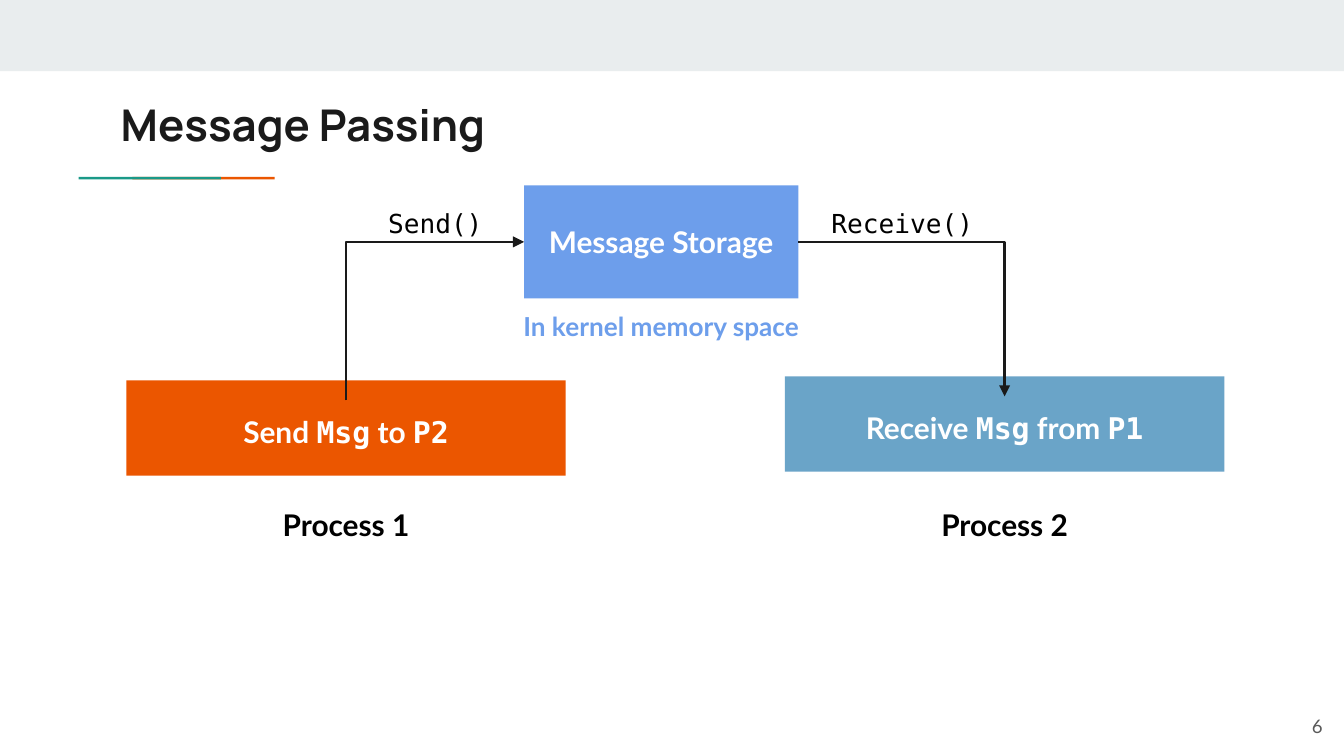
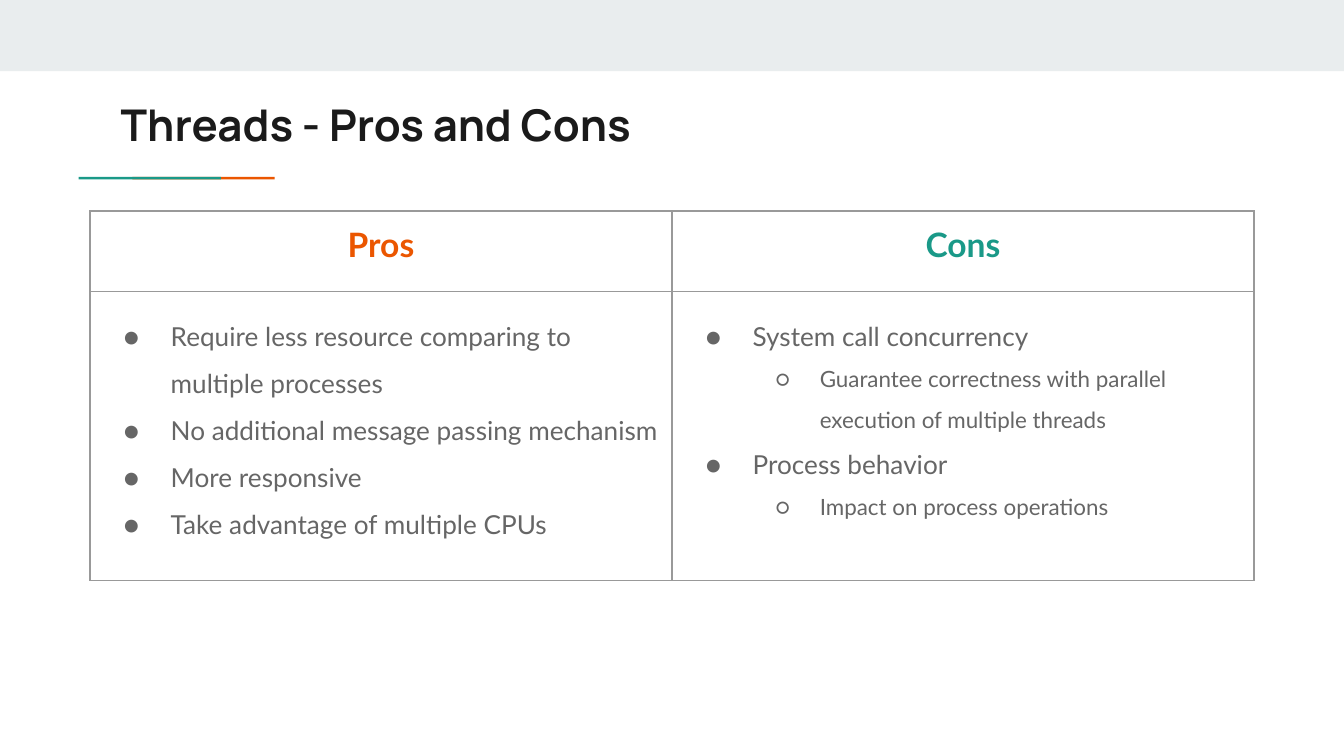
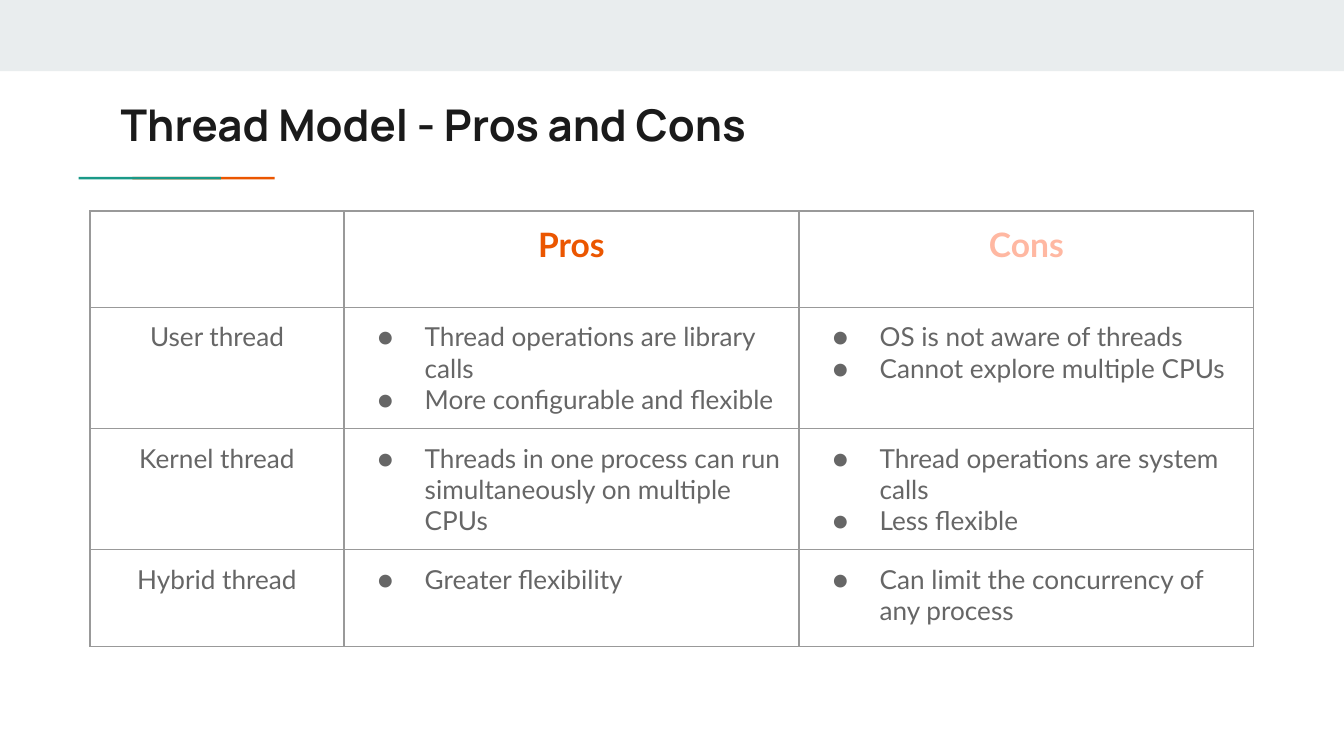
"""Build three slides on message passing and threads."""
from dataclasses import dataclass

from lxml.etree import SubElement
from pptx import Presentation
from pptx.dml.color import RGBColor
from pptx.enum.shapes import MSO_CONNECTOR as Conn, MSO_SHAPE as Shape
from pptx.enum.text import MSO_ANCHOR as Anchor, MSO_AUTO_SIZE as Fit, PP_ALIGN as Align
from pptx.oxml.ns import qn
from pptx.util import Inches, Pt


@dataclass(frozen=True)
class Theme:
    band: str = "E9EDEE"
    ink: str = "1A1A1A"
    black: str = "000000"
    white: str = "FFFFFF"
    body: str = "666666"
    number: str = "595959"
    border: str = "999999"
    orange: str = "EB5600"
    teal: str = "1A9988"
    steel: str = "6AA4C8"
    blue: str = "6D9EEB"
    peach: str = "FFB8A2"
    sans: str = "Lato"
    mono: str = "DejaVu Sans Mono"
    heading: str = "Manrope"
    title_pt: float = 23.4
    head_pt: int = 18
    box_pt: int = 16
    body_pt: int = 14
    sub_pt: int = 12
    number_pt: int = 10


T = Theme()
MARGIN = 0.1
BULLETS = [("●", 0.5, -0.35, T.body_pt), ("○", 1, -0.33, T.sub_pt)]

PROCESSES = [
    dict(name="Process 1", left=0.94, top=2.83, color=T.orange, verb="Send ", link=" to ", peer="P2"),
    dict(name="Process 2", left=5.84, top=2.8, color=T.steel, verb="Receive ", link=" from ", peer="P1"),
]
PROCESS_W, PROCESS_H = 3.27, 0.71
STORAGE = (3.9, 1.38, 2.04, 0.84)
CALLS = [("Send()", 2.61, 1.26), ("Receive()", 6.05, 1.33)]

TABLE_W, LABEL_W = 8.66, 1.89
THREADS = dict(
    title="Threads - Pros and Cons",
    heads=[("Pros", T.orange), ("Cons", T.teal)],
    cols=[TABLE_W / 2] * 2, rows=[0.6, 2.15], spacing=1.5,
    body=[[
        [("Require less resource comparing to multiple processes", 0),
         ("No additional message passing mechanism", 0),
         ("More responsive", 0),
         ("Take advantage of multiple CPUs", 0)],
        [("System call concurrency", 0),
         ("Guarantee correctness with parallel execution of multiple threads", 1),
         ("Process behavior", 0),
         ("Impact on process operations", 1)],
    ]],
)
MODELS = dict(
    title="Thread Model - Pros and Cons",
    heads=[("", T.body), ("Pros", T.orange), ("Cons", T.peach)],
    cols=[LABEL_W] + [(TABLE_W - LABEL_W) / 2] * 2, rows=[0.72] * 4, spacing=None,
    body=[
        ["User thread",
         [("Thread operations are library calls", 0), ("More configurable and flexible", 0)],
         [("OS is not aware of threads", 0), ("Cannot explore multiple CPUs", 0)]],
        ["Kernel thread",
         [("Threads in one process can run simultaneously on multiple CPUs", 0)],
         [("Thread operations are system calls", 0), ("Less flexible", 0)]],
        ["Hybrid thread",
         [("Greater flexibility", 0)],
         [("Can limit the concurrency of any process", 0)]],
    ],
)


def rgb(color):
    return RGBColor.from_string(color)


def write(p, text, size=T.body_pt, color=T.body, font=T.sans, bold=False,
          align=None, spacing=None, level=None):
    """Fill a paragraph from a string or a list of (text, font) runs."""
    if level is not None:
        char, left, hang, size = BULLETS[level]
        p.level = level
        pPr = p._p.get_or_add_pPr()
        pPr.set("marL", str(Inches(left)))
        pPr.set("indent", str(Inches(hang)))
        SubElement(SubElement(pPr, qn("a:buClr")), qn("a:srgbClr"), val=color)
        SubElement(pPr, qn("a:buFont"), typeface=font)
        SubElement(pPr, qn("a:buChar"), char=char)
    if align is not None:
        p.alignment = align
    if spacing:
        p.line_spacing = spacing
    for part, face in [(text, font)] if isinstance(text, str) else text:
        r = p.add_run()
        r.text = part
        r.font.name, r.font.size, r.font.bold = face, Pt(size), bold
        r.font.color.rgb = rgb(color)


def set_margins(box):
    box.margin_left = box.margin_right = box.margin_top = box.margin_bottom = Inches(MARGIN)


def add_text(s, text, x, y, w, h, anchor=Anchor.TOP, fit=Fit.SHAPE_TO_FIT_TEXT, **fmt):
    tf = s.shapes.add_textbox(*map(Inches, (x, y, w, h))).text_frame
    set_margins(tf)
    tf.word_wrap, tf.auto_size, tf.vertical_anchor = True, fit, anchor
    write(tf.paragraphs[0], text, **fmt)


def add_rect(s, x, y, w, h, color):
    sp = s.shapes.add_shape(Shape.RECTANGLE, *map(Inches, (x, y, w, h)))
    sp.shadow.inherit = False
    sp.fill.solid()
    sp.fill.fore_color.rgb = rgb(color)
    sp.line.fill.background()
    return sp


def add_accent(s):
    """Draw the two-colour rule under the title as a squeezed group."""
    grp = s.shapes.add_group_shape()
    for x, color in [(1.49, T.orange), (1.09, T.teal)]:
        add_rect(grp, x, 0.79, 0.05, 1.06, color).rotation = 270
    grp.top, grp.height = Inches(1.12), Inches(0.41)


def add_elbow(s, start, end, arrow):
    """Draw a one-bend connector that leaves start vertically."""
    (x1, y1), (x2, y2) = start, end
    cx, cy = (x1 + x2) / 2, (y1 + y2) / 2
    across, down = abs(y2 - y1) / 2, abs(x2 - x1) / 2
    side = 1 if x2 > x1 else -1
    c = s.shapes.add_connector(Conn.ELBOW, *map(Inches, (
        cx - side * across, cy - down, cx + side * across, cy + down)))
    c.line.color.rgb = rgb(T.ink)
    c.line.width = Pt(1.5)
    spPr = c.element.spPr
    spPr.find(qn("a:xfrm")).set("rot", str((270 if side > 0 else 90) * 60000))
    spPr.find(qn("a:prstGeom")).set("prst", "bentConnector2")
    SubElement(spPr.get_or_add_ln(), qn(f"a:{arrow}"), type="triangle")
    SubElement(spPr, qn("a:effectLst"))


def add_slide(prs, title):
    s = prs.slides.add_slide(prs.slide_layouts[6])
    add_rect(s, 0, 0, 10, 0.53, T.band)
    add_accent(s)
    add_text(s, title, 0.8, 0.63, 8.41, 0.59, fit=Fit.NONE, size=T.title_pt,
             color=T.ink, font=T.heading, bold=True)
    return s


def style_cell(cell):
    set_margins(cell)
    cell.fill.background()
    tcPr = cell._tc.get_or_add_tcPr()
    for i, edge in enumerate(("lnL", "lnR", "lnT", "lnB")):
        ln = SubElement(tcPr, qn(f"a:{edge}"), w=str(Pt(0.75)))
        SubElement(SubElement(ln, qn("a:solidFill")), qn("a:srgbClr"), val=T.border)
        tcPr.insert(i, ln)


def add_table_slide(prs, data):
    s = add_slide(prs, data["title"])
    cols, rows = data["cols"], data["rows"]
    table = s.shapes.add_table(len(rows), len(cols), *map(Inches, (
        0.67, 1.57, TABLE_W, sum(rows)))).table
    table.first_row = table.horz_banding = False
    for col, w in zip(table.columns, cols):
        col.width = Inches(w)
    for row, h in zip(table.rows, rows):
        row.height = Inches(h)
    for cell in table.iter_cells():
        style_cell(cell)
    for j, (head, color) in enumerate(data["heads"]):
        if head:
            write(table.cell(0, j).text_frame.paragraphs[0], head, size=T.head_pt,
                  color=color, bold=True, align=Align.CENTER)
    for i, row in enumerate(data["body"], 1):
        for j, content in enumerate(row):
            tf = table.cell(i, j).text_frame
            if isinstance(content, str):
                write(tf.paragraphs[0], content, align=Align.CENTER)
                continue
            for k, (text, level) in enumerate(content):
                p = tf.add_paragraph() if k else tf.paragraphs[0]
                write(p, text, level=level, spacing=data["spacing"])


def add_message_slide(prs):
    s = add_slide(prs, "Message Passing")
    label = dict(size=T.box_pt, bold=True, align=Align.CENTER)
    for proc in PROCESSES:
        x, y = proc["left"], proc["top"]
        add_rect(s, x, y, PROCESS_W, PROCESS_H, proc["color"])
        runs = [(proc["verb"], T.sans), ("Msg", T.mono), (proc["link"], T.sans), (proc["peer"], T.mono)]
        add_text(s, runs, x, y + 0.15, PROCESS_W, 0.47, color=T.white, **label)
        add_text(s, proc["name"], x, 3.63, PROCESS_W, 0.47, color=T.black, spacing=1.15, **label)

    x, y, w, h = STORAGE
    tf = add_rect(s, *STORAGE, T.blue).text_frame
    set_margins(tf)
    tf.word_wrap, tf.vertical_anchor = True, Anchor.MIDDLE
    write(tf.paragraphs[0], "Message Storage", color=T.white, **label)

    for proc, side, arrow in zip(PROCESSES, (x, x + w), ("tailEnd", "headEnd")):
        start = (proc["left"] + PROCESS_W / 2, proc["top"] + 0.15)
        add_elbow(s, start, (side, y + h / 2), arrow)
    for call, left, width in CALLS:
        add_text(s, call, left, 1.44, width, 0.44, color=T.black, font=T.mono, align=Align.CENTER)
    add_text(s, "In kernel memory space", 3.76, 2.21, 2.32, 0.44, color=T.blue,
             bold=True, align=Align.CENTER)
    add_text(s, "6", 9.34, 5.19, 0.6, 0.43, anchor=Anchor.MIDDLE, fit=Fit.NONE,
             size=T.number_pt, color=T.number, align=Align.RIGHT)


def main():
    prs = Presentation()
    prs.slide_width = Inches(10)
    prs.slide_height = prs.slide_width * 9 // 16
    add_message_slide(prs)
    add_table_slide(prs, THREADS)
    add_table_slide(prs, MODELS)
    prs.save("out.pptx")


if __name__ == "__main__":
    main()
